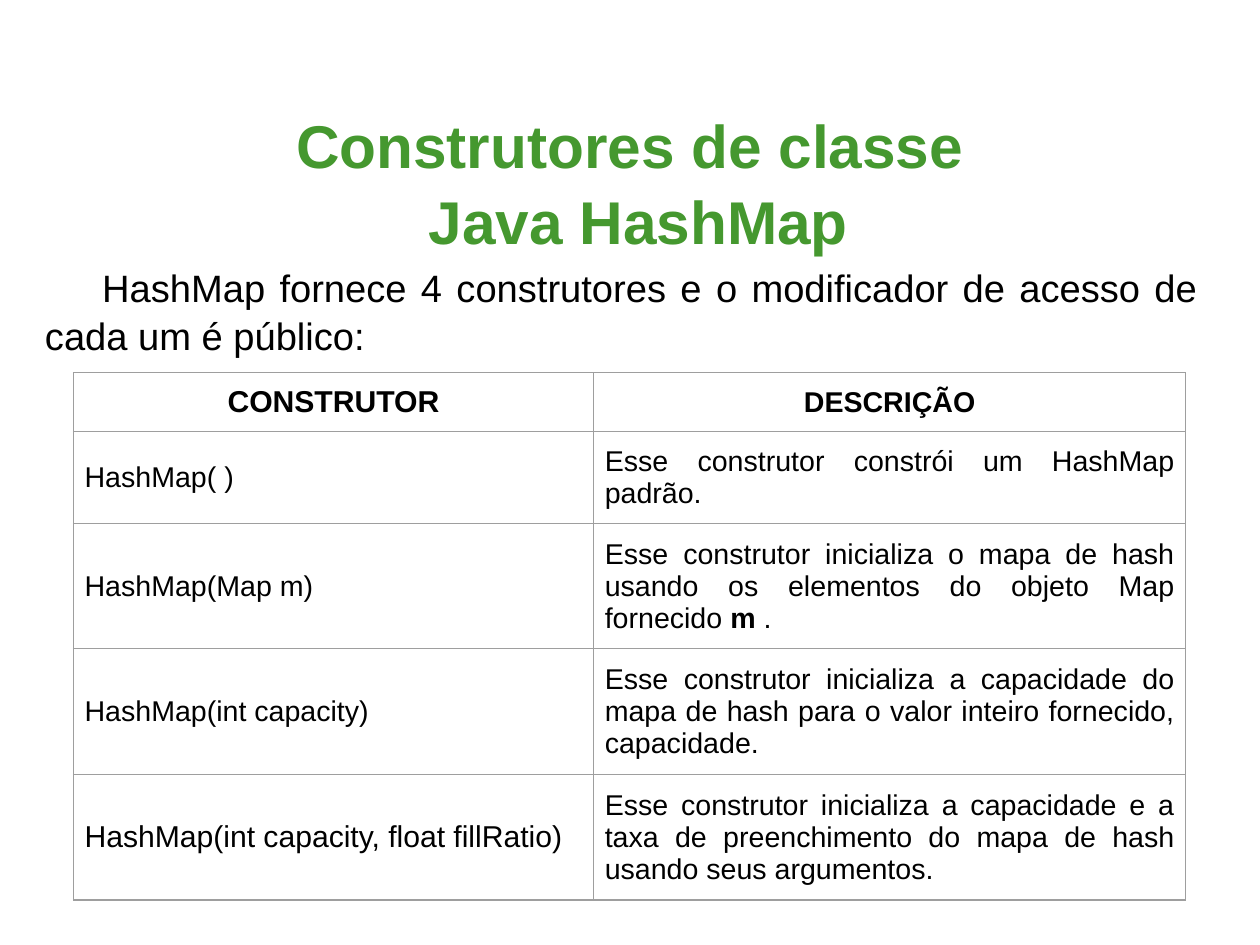
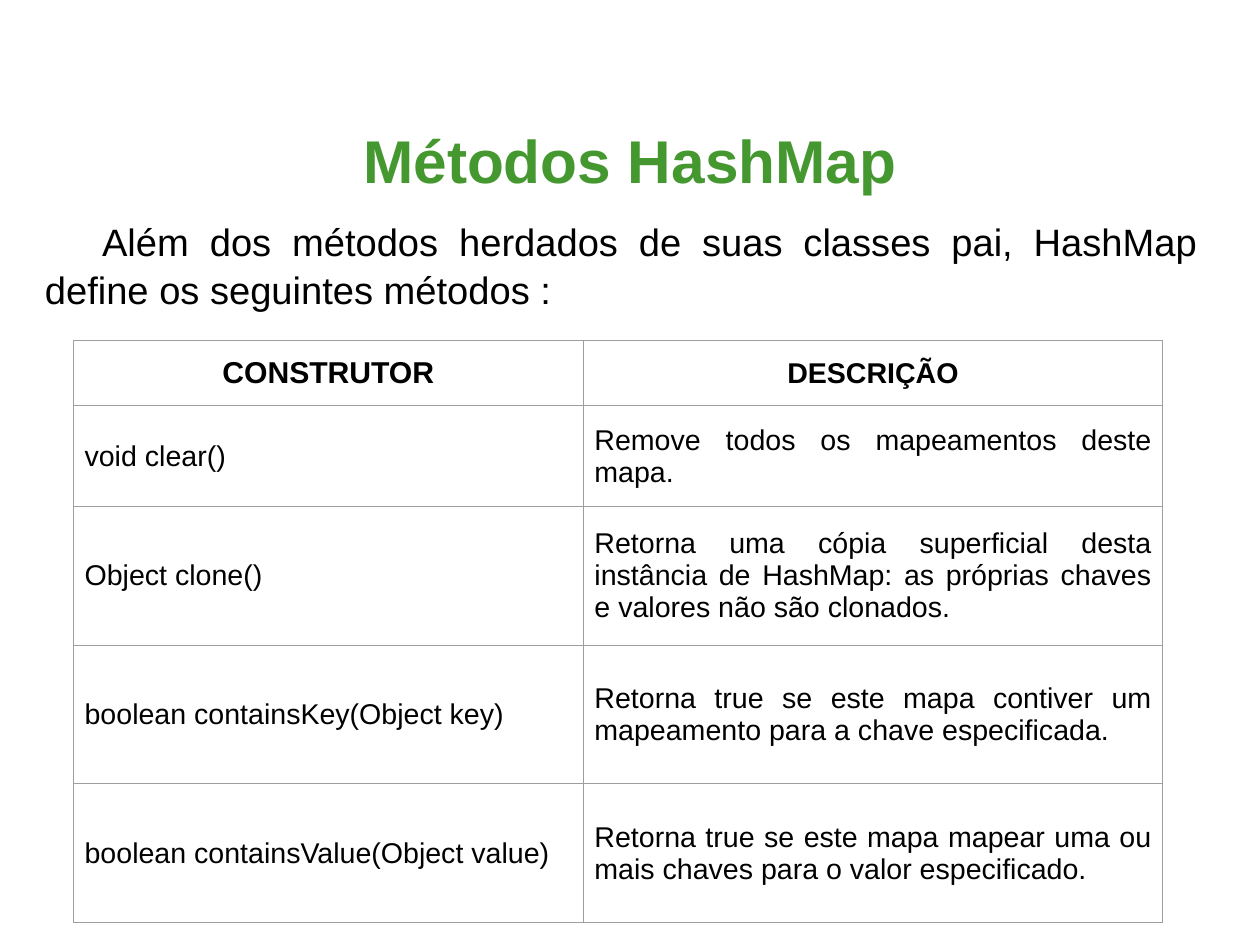
from dataclasses import dataclass

import lxml.etree
import pptx
import pptx.dml.color
import pptx.enum.text
import pptx.oxml.ns
import pptx.presentation
import pptx.table
import pptx.text.text
import pptx.util

Cm = pptx.util.Cm
Pt = pptx.util.Pt
ALIGN = pptx.enum.text.PP_ALIGN
ANCHOR = pptx.enum.text.MSO_ANCHOR

# Shared style
COLORS = {"title": "45982F", "text": "000000", "border": "9E9E9E", "background": "FFFFFF"}
FONT = "Arial"
SLIDE_WIDTH, SLIDE_HEIGHT = Cm(28), Cm(21)
LINE_SPACING = 1.05
TABLE_LEFT = Cm(1.63)
CELL_MARGIN = Cm(0.25)
HEADERS = ("CONSTRUTOR", "DESCRIÇÃO")
TITLE_SIZE, BODY_SIZE, CELL_SIZE, LARGE_CELL_SIZE = 38, 24, 18, 19


@dataclass
class Entry:
    """A table row; ** marks bold words in the description."""
    signature: str
    description: str
    signature_size: int = CELL_SIZE


@dataclass
class TableSlide:
    title: str
    title_top: float
    title_height: float
    body: str
    body_top: float
    body_height: float
    table_top: float
    column_widths: tuple[float, ...]
    row_heights: tuple[float, ...]
    entries: tuple[Entry, ...]
    signature_spacing: int = 0


SLIDES = (
    TableSlide(
        title="Construtores de classe\n Java HashMap",
        title_top=2.6, title_height=2.82,
        body="HashMap fornece 4 construtores e o modificador de acesso de cada um é público:",
        body_top=5.82, body_height=14.05,
        table_top=8.28,
        column_widths=(11.56, 13.16),
        row_heights=(1.31, 2.04, 2.79, 2.79, 2.79),
        entries=(
            Entry("HashMap( )", "Esse construtor constrói um HashMap padrão."),
            Entry("HashMap(Map m)",
                  "Esse construtor inicializa o mapa de hash usando os elementos "
                  "do objeto Map fornecido **m **."),
            Entry("HashMap(int capacity)",
                  "Esse construtor inicializa a capacidade do mapa de hash para o valor "
                  "inteiro fornecido, capacidade."),
            Entry("HashMap(int capacity, float fillRatio)",
                  "Esse construtor inicializa a capacidade e a taxa de preenchimento do mapa "
                  "de hash usando seus argumentos.", LARGE_CELL_SIZE),
        ),
        signature_spacing=10,
    ),
    TableSlide(
        title="Métodos HashMap",
        title_top=1.63, title_height=3.76,
        body="Além dos métodos herdados de suas classes pai, HashMap define os seguintes métodos :",
        body_top=4.8, body_height=15.04,
        table_top=7.57,
        column_widths=(11.33, 12.88),
        row_heights=(1.45, 2.24, 3.08, 3.08, 3.08),
        entries=(
            Entry("void clear()", "Remove todos os mapeamentos deste mapa."),
            Entry("Object clone()",
                  "Retorna uma cópia superficial desta instância de HashMap: as próprias "
                  "chaves e valores não são clonados."),
            Entry("boolean containsKey(Object key)",
                  "Retorna true se este mapa contiver um mapeamento para a chave especificada."),
            Entry("boolean containsValue(Object value)",
                  "Retorna true se este mapa mapear uma ou mais chaves para o valor especificado."),
        ),
    ),
)


def format_run(run: pptx.text.text._Run, size: int, color: str, bold: bool) -> None:
    run.font.name = FONT
    run.font.size = Pt(size)
    run.font.bold = bold
    run.font.color.rgb = pptx.dml.color.RGBColor.from_string(COLORS[color])


def format_frame(frame: pptx.text.text.TextFrame, size: int, color: str, bold: bool,
                 alignment: ALIGN, anchor: ANCHOR) -> None:
    frame.word_wrap = True
    frame.auto_size = pptx.enum.text.MSO_AUTO_SIZE.NONE
    frame.vertical_anchor = anchor
    frame.margin_left = frame.margin_right = frame.margin_top = frame.margin_bottom = 0
    for paragraph in frame.paragraphs:
        paragraph.alignment = alignment
        paragraph.line_spacing = LINE_SPACING
        for run in paragraph.runs:
            format_run(run, size, color, bold)


def add_borders(cell: pptx.table._Cell) -> None:
    qualified = pptx.oxml.ns.qn
    properties = cell._tc.get_or_add_tcPr()
    for side in ("a:lnL", "a:lnR", "a:lnT", "a:lnB"):
        line = lxml.etree.SubElement(properties, qualified(side), w=str(Pt(0.75)))
        fill = lxml.etree.SubElement(line, qualified("a:solidFill"))
        lxml.etree.SubElement(fill, qualified("a:srgbClr"), val=COLORS["border"])


def fill_cell(cell: pptx.table._Cell, text: str, size: int, alignment: ALIGN,
              header: bool = False, spacing: int = 0) -> None:
    add_borders(cell)
    cell.fill.background()
    cell.vertical_anchor = ANCHOR.MIDDLE
    cell.margin_left = cell.margin_right = cell.margin_top = cell.margin_bottom = CELL_MARGIN
    paragraph = cell.text_frame.paragraphs[0]
    paragraph.alignment = alignment
    paragraph.space_before = paragraph.space_after = Pt(spacing)
    for index, piece in enumerate(text.split("**")):
        run = paragraph.add_run()
        run.text = piece
        format_run(run, size, "text", header or index % 2 == 1)


def add_table_slide(presentation: pptx.presentation.Presentation, content: TableSlide) -> None:
    slide = presentation.slides.add_slide(presentation.slide_layouts[5])
    slide.background.fill.solid()
    slide.background.fill.fore_color.rgb = pptx.dml.color.RGBColor.from_string(
        COLORS["background"])

    # Title
    title = slide.shapes.title
    title.left, title.top = Cm(0), Cm(content.title_top)
    title.width, title.height = SLIDE_WIDTH, Cm(content.title_height)
    title.text_frame.text = content.title
    format_frame(title.text_frame, TITLE_SIZE, "title", True, ALIGN.CENTER, ANCHOR.MIDDLE)

    # Introduction with an indented first line
    body = slide.shapes.add_textbox(Cm(1), Cm(content.body_top), Cm(25.6), Cm(content.body_height))
    body.text_frame.text = content.body
    format_frame(body.text_frame, BODY_SIZE, "text", False, ALIGN.JUSTIFY, ANCHOR.TOP)
    paragraph_properties = body.text_frame.paragraphs[0]._p.get_or_add_pPr()
    paragraph_properties.set("marL", "0")
    paragraph_properties.set("indent", str(Cm(1.27)))

    # Table
    table = slide.shapes.add_table(
        len(content.row_heights), len(content.column_widths), TABLE_LEFT, Cm(content.table_top),
        Cm(sum(content.column_widths)), Cm(sum(content.row_heights))).table
    table.first_row = table.horz_banding = False
    for column, width in zip(table.columns, content.column_widths):
        column.width = Cm(width)
    for row, height in zip(table.rows, content.row_heights):
        row.height = Cm(height)
    for column, (header, size) in enumerate(zip(HEADERS, (LARGE_CELL_SIZE, CELL_SIZE))):
        fill_cell(table.cell(0, column), header, size, ALIGN.CENTER, header=True)
    for row, entry in enumerate(content.entries, start=1):
        fill_cell(table.cell(row, 0), entry.signature, entry.signature_size, ALIGN.JUSTIFY,
                  spacing=content.signature_spacing)
        fill_cell(table.cell(row, 1), entry.description, CELL_SIZE, ALIGN.JUSTIFY)


def main() -> None:
    presentation = pptx.Presentation()
    presentation.slide_width, presentation.slide_height = SLIDE_WIDTH, SLIDE_HEIGHT
    for content in SLIDES:
        add_table_slide(presentation, content)
    presentation.save("out.pptx")


if __name__ == "__main__":
    main()
